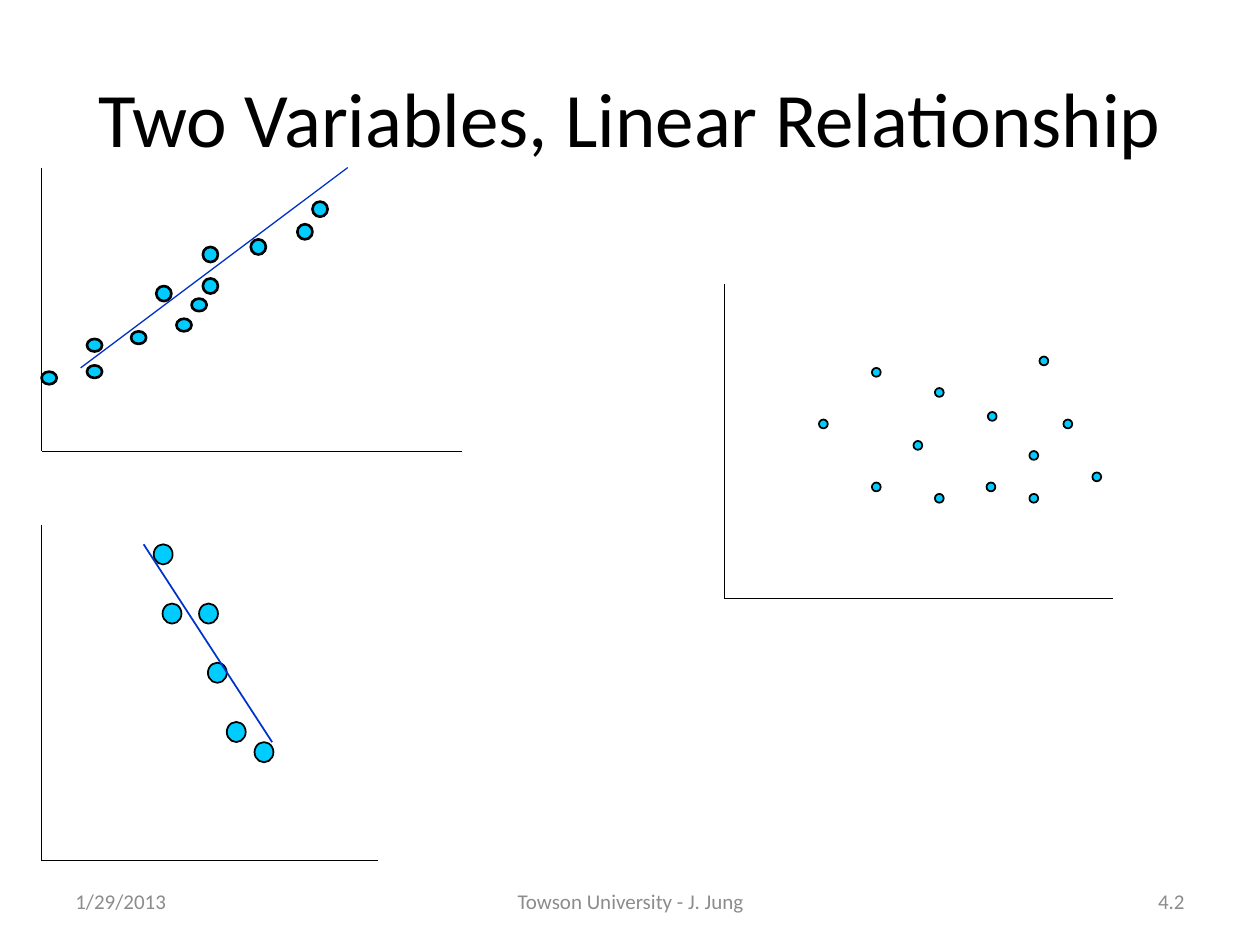
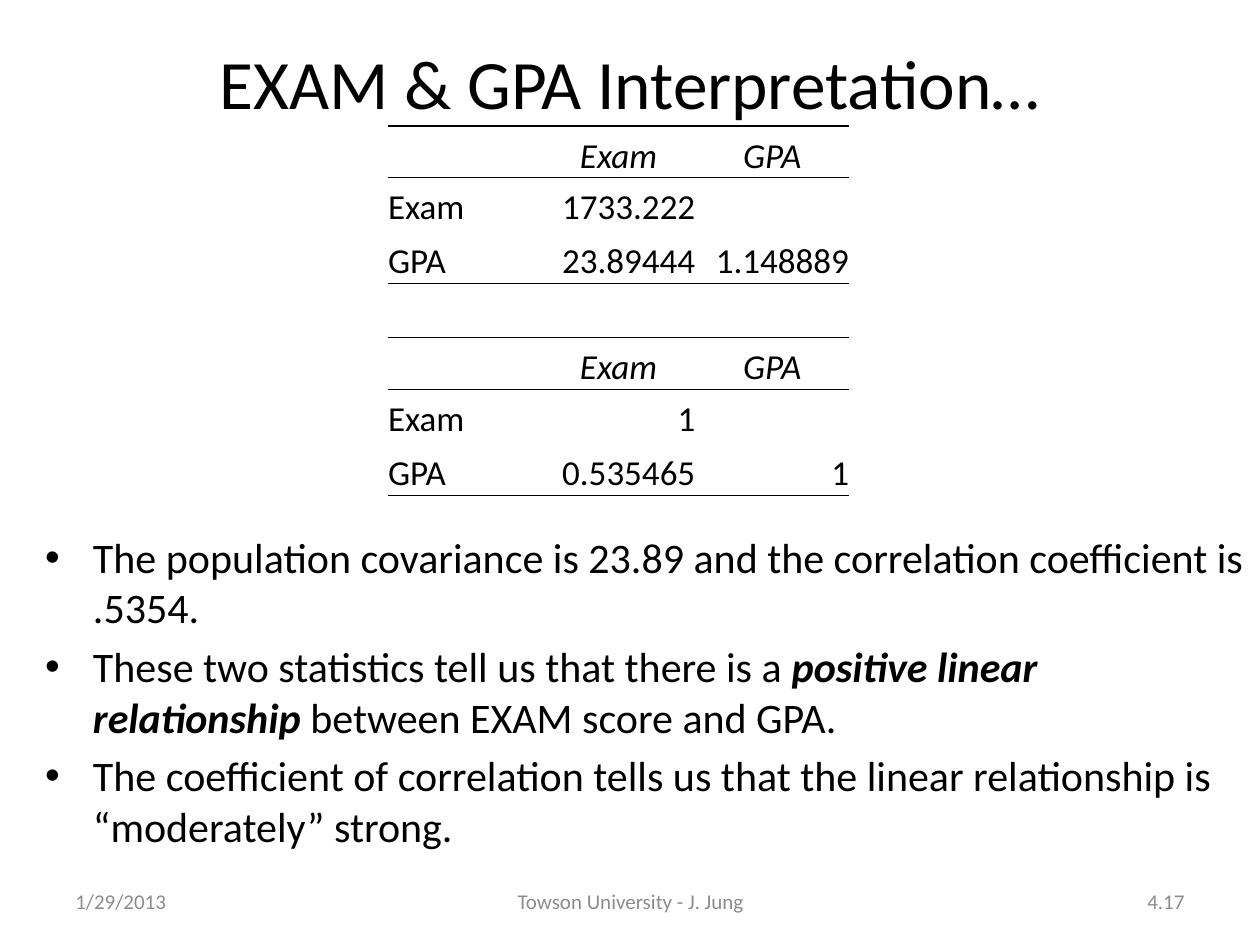
from lxml import etree
from pptx import Presentation, util as u
from pptx.dml import color
from pptx.enum import shapes, text
from pptx.oxml import ns

BLACK, GREY, DOT, TREND = "000000", "8C8C8C", "00CCFF", "0033CC"
LEFT, CENTER, RIGHT = text.PP_ALIGN.LEFT, text.PP_ALIGN.CENTER, text.PP_ALIGN.RIGHT


def rgb(value):
    return color.RGBColor.from_string(value)


def write(frame, content, size=12, ink=BLACK, align=LEFT, italic=False,
          anchor=None, bullet=None, before=0, new=False):
    frame.word_wrap = True
    if anchor is not None:
        frame.vertical_anchor = anchor
    paragraph = frame.add_paragraph() if new else frame.paragraphs[0]
    if bullet:
        props = paragraph._p.get_or_add_pPr()
        props.set("marL", str(u.Inches(0.38)))
        props.set("indent", str(-u.Inches(0.38)))
        etree.SubElement(props, ns.qn("a:buFont"), typeface="Arial")
        etree.SubElement(props, ns.qn("a:buChar"), char=bullet)
    paragraph.alignment = align
    paragraph.space_before = u.Pt(before)
    for words, strong in [(content, False)] if isinstance(content, str) else content:
        run = paragraph.add_run()
        run.text = words
        run.font.name = "Calibri"
        run.font.size = u.Pt(size)
        run.font.bold = strong
        run.font.italic = strong or italic
        run.font.color.rgb = rgb(ink)


deck = Presentation()
deck.slide_width, deck.slide_height = u.Inches(10), u.Inches(7.5)

pages = []
for heading, height, size, number in [
    ("Two Variables, Linear Relationship", 1.25, 44, "4.2"),
    ("EXAM & GPA Interpretation…", 0.7, 39.6, "4.17"),
]:
    page = deck.slides.add_slide(deck.slide_layouts[6])
    pages.append(page)
    for words, left, top, width, tall, style in [
        (heading, 0.5, 0.3, 9, height, dict(size=size, align=CENTER)),
        ("1/29/2013", 0.5, 6.95, 2.33, 0.4, dict(ink=GREY)),
        ("Towson University - J. Jung", 3.42, 6.95, 3.17, 0.4, dict(ink=GREY, align=CENTER)),
        (number, 7.17, 6.95, 2.33, 0.4, dict(ink=GREY, align=RIGHT)),
    ]:
        box = page.shapes.add_textbox(*map(u.Inches, (left, top, width, tall)))
        write(box.text_frame, words, anchor=text.MSO_ANCHOR.MIDDLE, **style)
scatter_page, findings_page = pages

no_relation = dict(
    origin=(5.75, 4.75), axis_top=2.25, axis_right=8.83, axis_weight=1,
    trend=None, dot_weight=1,
    dots={(0.07, 0.07): [
        (6.5, 3.33), (6.92, 2.92), (7.42, 3.92), (8.17, 3.92), (7.84, 3.27),
        (8.17, 3.58), (7.25, 3.5), (7.42, 3.08), (8.44, 3.33), (6.92, 3.83),
        (7.83, 3.83), (8.25, 2.83), (8.67, 3.75)]})
negative = dict(
    origin=(0.33, 6.83), axis_top=4.17, axis_right=3, axis_weight=1,
    trend=(1.14, 4.32, 2.16, 5.89), trend_weight=1, dot_weight=1,
    dots={(0.15, 0.16): [
        (1.22, 4.32), (1.29, 4.79), (1.58, 4.79), (1.65, 5.26),
        (1.8, 5.73), (2.02, 5.89)]})
positive = dict(
    origin=(0.33, 3.58), axis_top=1.33, axis_right=3.67, axis_weight=0.5,
    trend=(0.64, 2.92, 2.76, 1.33), trend_weight=0.75, dot_weight=1.5,
    dots={(0.12, 0.12): [
        (1.24, 2.27), (1.61, 2.21), (1.61, 1.96), (1.99, 1.9),
        (2.36, 1.78), (2.48, 1.6)],
        (0.12, 0.1): [
        (0.33, 2.95), (0.69, 2.9), (0.69, 2.69), (1.04, 2.63),
        (1.4, 2.53), (1.52, 2.37)]})

for plot in (no_relation, negative, positive):
    x, y = plot["origin"]
    strokes = [((x, plot["axis_top"], x, y), BLACK, plot["axis_weight"]),
               ((x, y, plot["axis_right"], y), BLACK, plot["axis_weight"])]
    if plot["trend"]:
        strokes.append((plot["trend"], TREND, plot["trend_weight"]))
    for ends, ink, weight in strokes:
        stroke = scatter_page.shapes.add_connector(
            shapes.MSO_CONNECTOR.STRAIGHT, *map(u.Inches, ends))
        stroke.line.color.rgb = rgb(ink)
        stroke.line.width = u.Pt(weight)
        etree.SubElement(stroke._element.spPr, ns.qn("a:effectLst"))
    for extent, corners in plot["dots"].items():
        for corner in corners:
            dot = scatter_page.shapes.add_shape(
                shapes.MSO_SHAPE.OVAL, *map(u.Inches, corner + extent))
            dot.shadow.inherit = False
            dot.fill.solid()
            dot.fill.fore_color.rgb = rgb(DOT)
            dot.line.color.rgb = rgb(BLACK)
            dot.line.width = u.Pt(plot["dot_weight"])
    if plot["trend"]:
        scatter_page.shapes._spTree.append(stroke._element)

findings = [
    "The population covariance is 23.89 and the correlation coefficient is .5354.",
    [("These two statistics tell us that there is a ", False),
     ("positive linear relationship", True),
     (" between EXAM score and GPA.", False)],
    "The coefficient of correlation tells us that the linear relationship is “moderately” strong.",
]
body = findings_page.shapes.add_textbox(*map(u.Inches, (0.26, 4.17, 9.74, 2.83)))
for index, finding in enumerate(findings):
    write(body.text_frame, finding, size=24, bullet="•",
          before=4.8 if index else 0, new=index > 0)

header = ("", "Exam", "GPA")
matrix = [
    header, ("Exam", "1733.222", ""), ("GPA", "23.89444", "1.148889"),
    ("", "", ""),
    header, ("Exam", "1", ""), ("GPA", "0.535465", "1"),
]
row_heights = [0.41, 0.41, 0.43, 0.43, 0.41, 0.41, 0.43]
rules = {0: 1, 1: 0.5, 3: 1, 4: 1, 5: 0.5, 7: 0.5}

grid = findings_page.shapes.add_table(
    len(matrix), 3, *map(u.Inches, (3.08, 1, 3.66, 2.93))).table
grid.first_row = grid.horz_banding = False
for column in grid.columns:
    column.width = u.Inches(1.22)
for r, values in enumerate(matrix):
    grid.rows[r].height = u.Inches(row_heights[r])
    for c, value in enumerate(values):
        cell = grid.cell(r, c)
        cell.margin_left = cell.margin_right = cell.margin_top = cell.margin_bottom = 0
        cell.vertical_anchor = text.MSO_ANCHOR.BOTTOM
        cell.fill.background()
        if value:
            is_header = values is header
            write(cell.text_frame, value, size=20, italic=is_header,
                  align=CENTER if is_header else RIGHT if c else LEFT)
        borders = [("a:lnL", 0), ("a:lnR", 0),
                   ("a:lnT", rules.get(r, 0)), ("a:lnB", rules.get(r + 1, 0))]
        for position, (side, weight) in enumerate(borders):
            border = etree.Element(ns.qn(side), w=str(u.Pt(weight)))
            if weight:
                paint = etree.SubElement(border, ns.qn("a:solidFill"))
                etree.SubElement(paint, ns.qn("a:srgbClr"), val=BLACK)
            else:
                etree.SubElement(border, ns.qn("a:noFill"))
            cell._tc.tcPr.insert(position, border)

deck.save("out.pptx")
